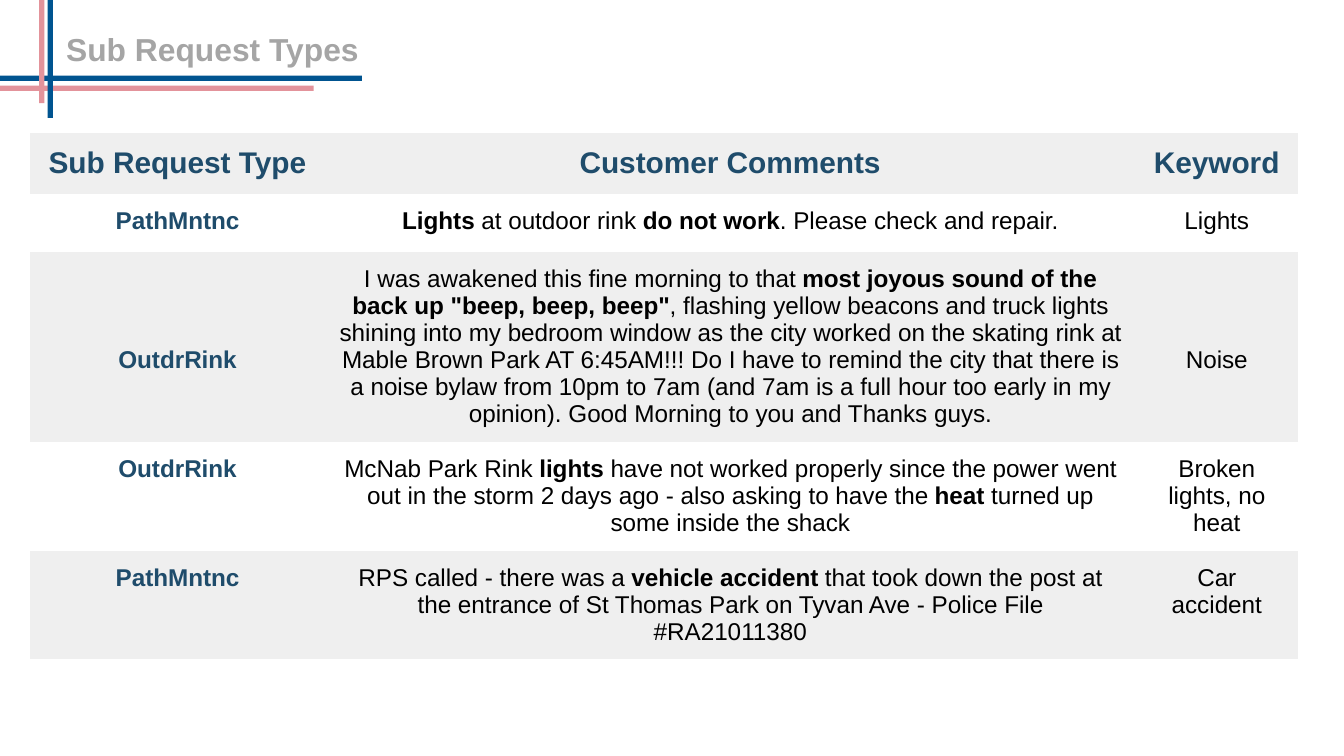
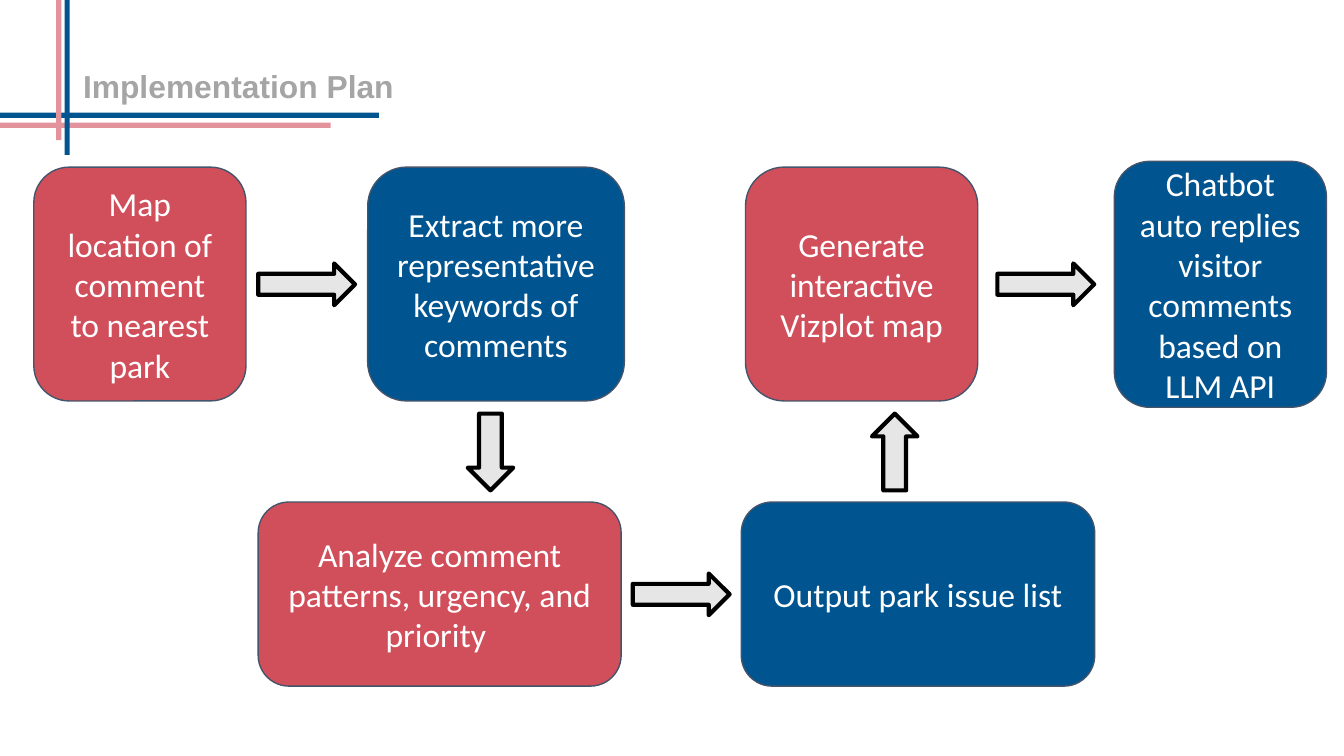
import pptx
import pptx.dml.color
import pptx.enum.shapes
import pptx.enum.text
import pptx.oxml.ns
import pptx.util

Cm, Pt = pptx.util.Cm, pptx.util.Pt
RGBColor = pptx.dml.color.RGBColor
SHAPE = pptx.enum.shapes.MSO_SHAPE
ANCHOR = pptx.enum.text.MSO_ANCHOR
ALIGN = pptx.enum.text.PP_ALIGN

BLUE = RGBColor(0x00, 0x54, 0x90)
RED = RGBColor(0xD1, 0x4E, 0x5B)
PINK = RGBColor(0xE3, 0x93, 0x9B)
NAVY = RGBColor(0x1F, 0x4C, 0x6B)
SLATE = RGBColor(0x44, 0x54, 0x6A)
TITLE_GREY = RGBColor(0xA5, 0xA5, 0xA5)
ROW_GREY = RGBColor(0xEF, 0xEF, 0xEF)
ARROW_GREY = RGBColor(0xE7, 0xE6, 0xE6)
BLACK = RGBColor(0x00, 0x00, 0x00)
WHITE = RGBColor(0xFF, 0xFF, 0xFF)

PLAIN_TABLE_STYLE = "{2D5ABB26-0587-4C30-8999-92F81FD0307C}"
INSET = 0.26
BAND_LENGTH, BAND = 9.75, 0.1

COLUMN_WIDTHS = (5.57, 15.32, 3.07)
ROW_HEIGHTS = (1.13, 1.1, 3.59, 2.04, 2.04)
LONG_ROW, LONG_ROW_INSET = 2, 1.8

# Pairs of asterisks enclose bold words.
REQUESTS = (
    ("Sub Request Type", "Customer Comments", "Keyword"),
    ("PathMntnc",
     "**Lights** at outdoor rink **do not work**. Please check and repair.",
     "Lights"),
    ("OutdrRink",
     "I was awakened this fine morning to that **most joyous sound of the "
     "back up \"beep, beep, beep\"**, flashing yellow beacons and truck lights "
     "shining into my bedroom window as the city worked on the skating rink at "
     "Mable Brown Park AT 6:45AM!!! Do I have to remind the city that there is "
     "a noise bylaw from 10pm to 7am (and 7am is a full hour too early in my "
     "opinion). Good Morning to you and Thanks guys.",
     "Noise"),
    ("OutdrRink",
     "McNab Park Rink **lights** have not worked properly since the power went "
     "out in the storm 2 days ago - also asking to have the** heat **turned up "
     "some inside the shack",
     "Broken lights, no heat"),
    ("PathMntnc",
     "RPS called - there was a **vehicle accident** that took down the post at "
     "the entrance of St Thomas Park on Tyvan Ave - Police File #RA21011380",
     "Car accident"),
)

TOP, BOTTOM = 3.16, 9.49
TOP_HEIGHT, BOTTOM_HEIGHT = 4.42, 3.48
STEPS = (
    ("Map location of comment to nearest park", RED, 0.64, TOP, 4.01, TOP_HEIGHT),
    ("Extract more representative keywords of comments",
     BLUE, 6.95, TOP, 4.85, TOP_HEIGHT),
    ("Analyze comment patterns, urgency, and priority ",
     RED, 4.88, BOTTOM, 6.86, BOTTOM_HEIGHT),
    ("Output park issue list", BLUE, 14.01, BOTTOM, 6.68, BOTTOM_HEIGHT),
    ("Generate interactive Vizplot map", RED, 14.09, TOP, 4.39, TOP_HEIGHT),
    ("Chatbot auto replies visitor comments based on LLM API",
     BLUE, 21.06, 3.05, 4.01, 4.65),
)
ACROSS, UPRIGHT = (1.83, 0.79), (0.86, 1.45)
ARROWS = (
    (SHAPE.RIGHT_ARROW, 4.88, 4.98, ACROSS),
    (SHAPE.DOWN_ARROW, 8.84, 7.82, UPRIGHT),
    (SHAPE.RIGHT_ARROW, 11.96, 10.84, ACROSS),
    (SHAPE.UP_ARROW, 16.48, 7.82, UPRIGHT),
    (SHAPE.RIGHT_ARROW, 18.85, 4.98, ACROSS),
)


def format_runs(paragraph, font, size, color, bold=None):
    for run in paragraph.runs:
        run.font.name = font
        run.font.size = Pt(size)
        run.font.color.rgb = color
        if bold is not None:
            run.font.bold = bold


def set_insets(holder, inset):
    """Give a text frame or table cell the same margin on all sides."""
    holder.margin_left = holder.margin_right = Cm(inset)
    holder.margin_top = holder.margin_bottom = Cm(inset)


def add_filled(slide, kind, left, top, width, height, fill, line=None, weight=0):
    shape = slide.shapes.add_shape(kind, Cm(left), Cm(top), Cm(width), Cm(height))
    shape.shadow.inherit = False
    shape.fill.solid()
    shape.fill.fore_color.rgb = fill
    if line is None:
        shape.line.fill.background()
    else:
        shape.line.color.rgb = line
        shape.line.width = Pt(weight)
    return shape


def add_corner_bands(slide, x, y):
    """Add bands that run in from the slide edges; the blue ones cross at x, y."""
    half = BAND / 2
    for middle, end, color in ((y + 0.19, x + 4.98, PINK), (y, x + 5.89, BLUE)):
        add_filled(slide, SHAPE.RECTANGLE, end - BAND_LENGTH, middle - half,
                   BAND_LENGTH, BAND, color)
    for middle, end, color in ((x, y + 0.75, BLUE), (x - 0.16, y + 0.47, PINK)):
        add_filled(slide, SHAPE.RECTANGLE, middle - half, end - BAND_LENGTH,
                   BAND, BAND_LENGTH, color)


def add_titled_slide(deck, title, x, y):
    """Add a slide with its title beside the corner bands crossing at x, y."""
    slide = deck.slides.add_slide(deck.slide_layouts[5])
    heading = slide.shapes.title
    heading.left, heading.top = Cm(x + 0.3), Cm(y - 0.92)
    heading.width, heading.height = Cm(14.4), Cm(1.45)
    frame = heading.text_frame
    frame.text = title
    frame.auto_size = pptx.enum.text.MSO_AUTO_SIZE.NONE
    frame.vertical_anchor = ANCHOR.TOP
    set_insets(frame, 0)
    frame.paragraphs[0].alignment = ALIGN.LEFT
    format_runs(frame.paragraphs[0], "Arial", 17, TITLE_GREY, True)
    add_corner_bands(slide, x, y)
    return slide


def fill_cell(cell, text, size, color, bold):
    """Write centred text, with the parts between asterisks in bold."""
    set_insets(cell, INSET)
    paragraph = cell.text_frame.paragraphs[0]
    paragraph.alignment = ALIGN.CENTER
    for index, part in enumerate(text.split("**")):
        if part:
            run = paragraph.add_run()
            run.text = part
            run.font.bold = bold or index % 2 == 1
    format_runs(paragraph, "Arial", size, color)


def add_request_table(slide):
    table = slide.shapes.add_table(
        len(REQUESTS), len(COLUMN_WIDTHS), Cm(0.57), Cm(2.51),
        Cm(sum(COLUMN_WIDTHS)), Cm(sum(ROW_HEIGHTS))).table
    table.first_row = table.horz_banding = False
    table._tbl.tblPr.find(pptx.oxml.ns.qn("a:tableStyleId")).text = PLAIN_TABLE_STYLE
    for column, width in zip(table.columns, COLUMN_WIDTHS):
        column.width = Cm(width)
    for row, height in zip(table.rows, ROW_HEIGHTS):
        row.height = Cm(height)

    for r, request in enumerate(REQUESTS):
        for c, text in enumerate(request):
            cell = table.cell(r, c)
            label = r == 0 or c == 0
            fill_cell(cell, text, 16 if r == 0 else 13,
                      NAVY if label else BLACK, label)
            if r == LONG_ROW and c != 1:
                cell.margin_top = Cm(LONG_ROW_INSET)
            if r % 2 == 0:
                cell.fill.solid()
                cell.fill.fore_color.rgb = ROW_GREY
            else:
                cell.fill.background()


def add_step(slide, text, fill, left, top, width, height):
    step = add_filled(slide, SHAPE.FLOWCHART_ALTERNATE_PROCESS,
                      left, top, width, height, fill, SLATE, 0.75)
    frame = step.text_frame
    frame.text = text
    frame.word_wrap = True
    frame.vertical_anchor = ANCHOR.MIDDLE
    set_insets(frame, INSET)
    frame.paragraphs[0].alignment = ALIGN.CENTER
    format_runs(frame.paragraphs[0], "Calibri", 18, WHITE)


def main():
    deck = pptx.Presentation()
    deck.slide_width, deck.slide_height = Cm(25.4), Cm(14.29)

    requests = add_titled_slide(deck, "Sub Request Types", 0.95, 1.48)
    add_request_table(requests)

    plan = add_titled_slide(deck, "Implementation Plan", 1.27, 2.18)
    for step in STEPS:
        add_step(plan, *step)
    for kind, left, top, size in ARROWS:
        add_filled(plan, kind, left, top, *size, ARROW_GREY, BLACK, 2.25)

    deck.save("out.pptx")


if __name__ == "__main__":
    main()
